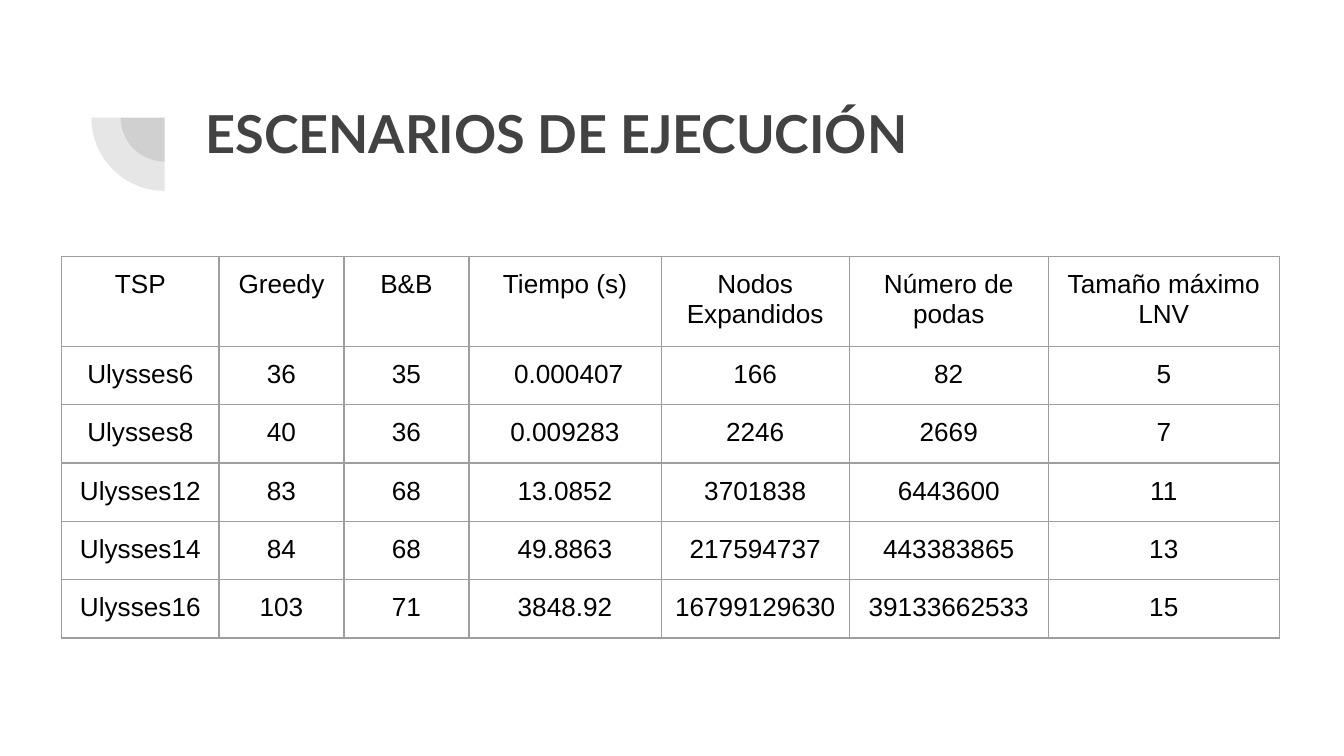
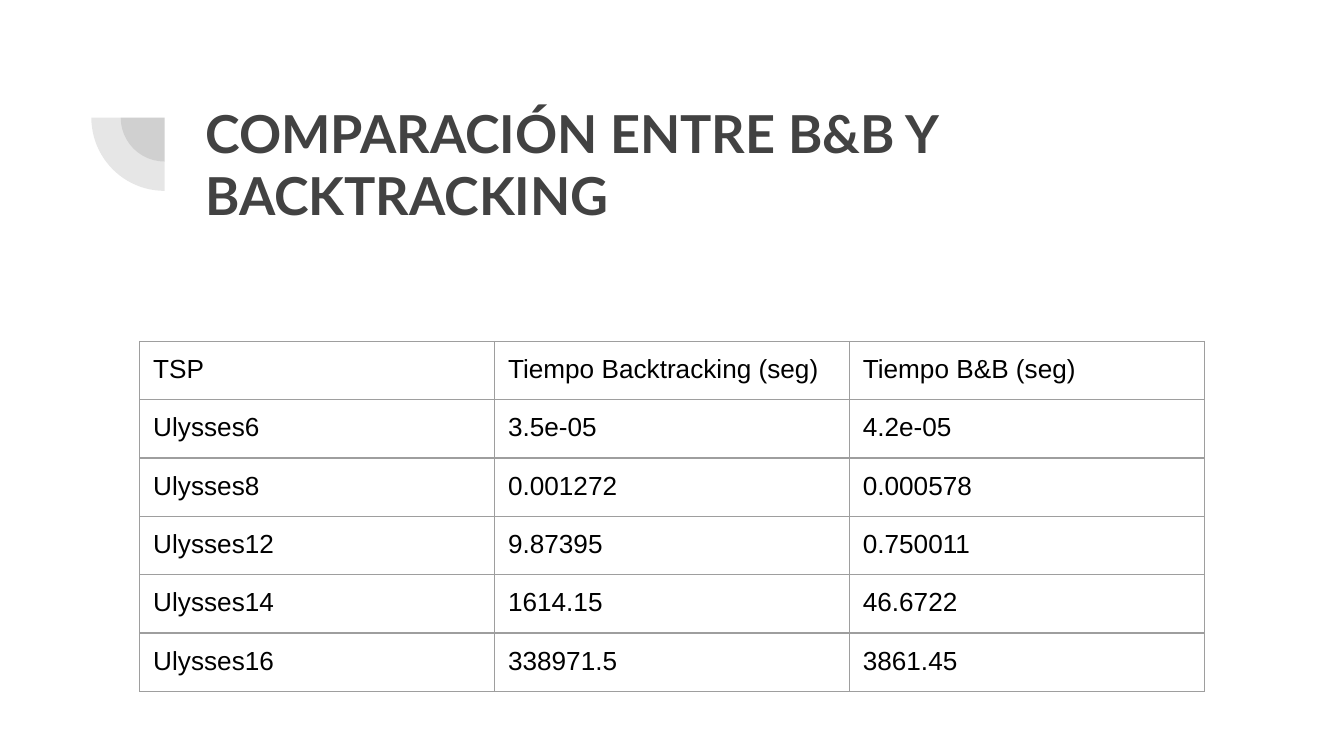
from dataclasses import dataclass

from lxml.etree import SubElement
from pptx import Presentation
from pptx.dml.color import RGBColor
from pptx.enum.shapes import MSO_SHAPE
from pptx.enum.text import MSO_ANCHOR, PP_ALIGN
from pptx.oxml.ns import qn
from pptx.util import Inches, Pt


@dataclass(frozen=True)
class Theme:
    """Colours, fonts and sizes shared by the slides."""

    ink: str = "424242"
    text: str = "000000"
    border: str = "9E9E9E"
    background: str = "FFFFFF"
    title_font: str = "Lato"
    body_font: str = "Arial"
    title_size: int = 28
    body_size: int = 14
    border_width: float = 0.75
    inset: float = 0.1
    pie_opacity: int = 13


THEME = Theme()
EMBLEM_BOX = (0.68, 0.33, 1.09, 1.09)
TITLE_BOX = (1.43, 0.65, 7.69, 1.09)
ROW_HEIGHT = 0.42
INSTANCES = ["Ulysses6", "Ulysses8", "Ulysses12", "Ulysses14", "Ulysses16"]

SCENARIO_WIDTHS = [1.17, 0.93, 0.93, 1.43, 1.4, 1.48, 1.72]
SCENARIO_COLUMNS = {
    "TSP": INSTANCES,
    "Greedy": ["36", "40", "83", "84", "103"],
    "B&B": ["35", "36", "68", "68", "71"],
    "Tiempo (s)": [" 0.000407", "0.009283", "13.0852", "49.8863", "3848.92"],
    "Nodos Expandidos": ["166", "2246", "3701838", "217594737", "16799129630"],
    "Número de podas": ["82", "2669", "6443600", "443383865", "39133662533"],
    "Tamaño máximo LNV": ["5", "7", "11", "13", "15"],
}

COMPARISON_WIDTHS = [2.64] * 3
COMPARISON_COLUMNS = {
    "TSP": INSTANCES,
    "Tiempo Backtracking (seg)": ["3.5e-05", "0.001272", "9.87395", "1614.15", "338971.5"],
    "Tiempo B&B (seg)": ["4.2e-05", "0.000578", "0.750011", "46.6722", "3861.45"],
}


def set_insets(target):
    """Give a cell or text frame equal margins on every side."""
    for side in ("left", "right", "top", "bottom"):
        setattr(target, f"margin_{side}", Inches(THEME.inset))


def format_text(text_frame, font_name, size, colour, bold=False, alignment=PP_ALIGN.LEFT):
    """Style every paragraph and run in a text frame."""
    for paragraph in text_frame.paragraphs:
        paragraph.alignment = alignment
        paragraph.line_spacing = 1.0
        paragraph.space_before = paragraph.space_after = Pt(0)
        for run in paragraph.runs:
            run.font.name = font_name
            run.font.size = Pt(size)
            run.font.bold = bold
            run.font.color.rgb = RGBColor.from_string(colour)


def add_emblem(slide, box):
    """Draw two concentric translucent quarter circles in the box."""
    left, top, width, height = box
    for scale in (0.6, 1):
        margin = (1 - scale) / 2
        pie = slide.shapes.add_shape(
            MSO_SHAPE.PIE,
            Inches(left + width * margin),
            Inches(top + height * margin),
            Inches(width * scale),
            Inches(height * scale),
        )
        pie.adjustments[0] = 108
        pie.adjustments[1] = 162
        pie.rotation = 270
        pie.shadow.inherit = False
        pie.line.fill.background()
        pie.fill.solid()
        pie.fill.fore_color.rgb = RGBColor.from_string(THEME.ink)
        colour = pie.fill._xPr.find(f".//{qn('a:srgbClr')}")
        SubElement(colour, qn("a:alpha"), val=str(THEME.pie_opacity * 1000))


def add_title(slide, box, title):
    """Write the slide title in the box."""
    text_frame = slide.shapes.add_textbox(*map(Inches, box)).text_frame
    text_frame.word_wrap = True
    text_frame.vertical_anchor = MSO_ANCHOR.TOP
    set_insets(text_frame)
    text_frame.text = title
    format_text(text_frame, THEME.title_font, THEME.title_size, THEME.ink, bold=True)


def add_borders(cell):
    """Draw a thin line on all four sides of a cell."""
    properties = cell._tc.get_or_add_tcPr()
    for position, side in enumerate("LRTB"):
        line = SubElement(properties, qn(f"a:ln{side}"), w=str(Pt(THEME.border_width)))
        fill = SubElement(line, qn("a:solidFill"))
        SubElement(fill, qn("a:srgbClr"), val=THEME.border)
        properties.insert(position, line)


def add_results_table(slide, left, top, widths, columns, alignment):
    """Build a bordered table from named columns at the given corner."""
    rows = [list(columns), *zip(*columns.values())]
    table = slide.shapes.add_table(
        len(rows),
        len(widths),
        Inches(left),
        Inches(top),
        Inches(sum(widths)),
        Inches(ROW_HEIGHT * len(rows)),
    ).table
    table.first_row = False
    table.horz_banding = False
    for column, width in zip(table.columns, widths):
        column.width = Inches(width)
    for row, values in zip(table.rows, rows):
        row.height = Inches(ROW_HEIGHT)
        for cell, value in zip(row.cells, values):
            cell.text_frame.text = value
            set_insets(cell)
            cell.fill.background()
            add_borders(cell)
            format_text(
                cell.text_frame, THEME.body_font, THEME.body_size, THEME.text, alignment=alignment
            )


def add_results_slide(presentation, title, left, top, widths, columns, alignment):
    """Add a slide with the emblem, a title and a results table."""
    slide = presentation.slides.add_slide(presentation.slide_layouts[6])
    slide.background.fill.solid()
    slide.background.fill.fore_color.rgb = RGBColor.from_string(THEME.background)
    add_emblem(slide, EMBLEM_BOX)
    add_title(slide, TITLE_BOX, title)
    add_results_table(slide, left, top, widths, columns, alignment)


def main():
    """Build and save the presentation."""
    presentation = Presentation()
    presentation.slide_width = Inches(10)
    presentation.slide_height = Inches(10 * 9 / 16)
    add_results_slide(
        presentation,
        "ESCENARIOS DE EJECUCIÓN",
        0.46,
        1.91,
        SCENARIO_WIDTHS,
        SCENARIO_COLUMNS,
        PP_ALIGN.CENTER,
    )
    add_results_slide(
        presentation,
        "COMPARACIÓN ENTRE B&B Y BACKTRACKING",
        1.04,
        2.54,
        COMPARISON_WIDTHS,
        COMPARISON_COLUMNS,
        PP_ALIGN.LEFT,
    )
    presentation.save("out.pptx")


if __name__ == "__main__":
    main()
